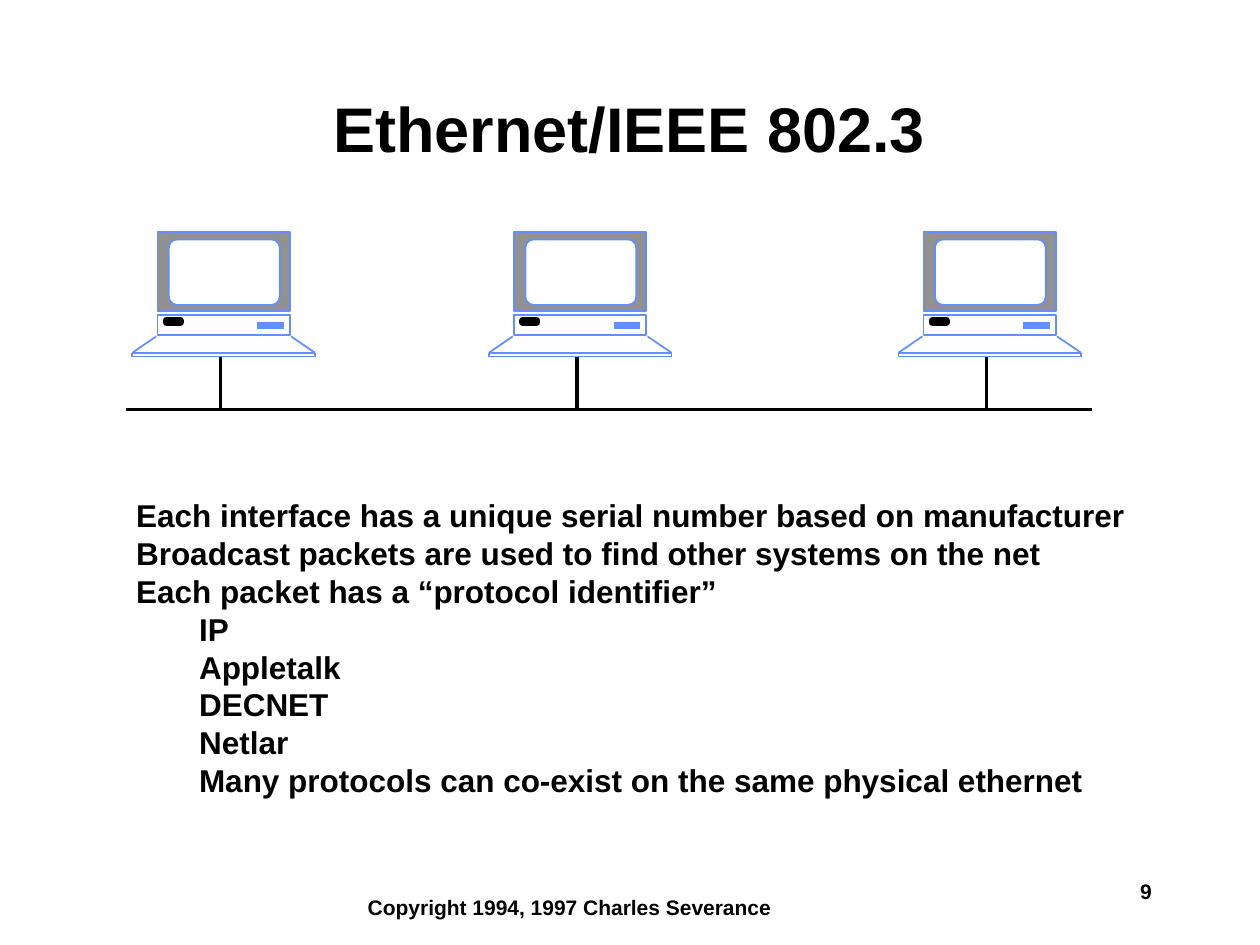
from dataclasses import dataclass

from lxml import etree
from pptx import Presentation
from pptx.dml.color import RGBColor
from pptx.enum.shapes import MSO_CONNECTOR, MSO_SHAPE
from pptx.enum.text import MSO_ANCHOR, MSO_AUTO_SIZE, PP_ALIGN
from pptx.oxml.ns import qn
from pptx.util import Inches, Pt

STRAIGHT = MSO_CONNECTOR.STRAIGHT
RECTANGLE = MSO_SHAPE.RECTANGLE
ROUNDED = MSO_SHAPE.ROUNDED_RECTANGLE
MIDDLE, TOP = MSO_ANCHOR.MIDDLE, MSO_ANCHOR.TOP
NO_AUTOFIT = MSO_AUTO_SIZE.NONE
CENTER, LEFT = PP_ALIGN.CENTER, PP_ALIGN.LEFT


@dataclass(frozen=True)
class Theme:
    font: str = "Arial"
    black: RGBColor = RGBColor(0, 0, 0)
    white: RGBColor = RGBColor(255, 255, 255)
    gray: RGBColor = RGBColor(0x91, 0x91, 0x91)
    blue: RGBColor = RGBColor(0x61, 0x8F, 0xFD)
    title_size: int = 36
    body_size: int = 18
    footer_size: int = 12


THEME = Theme()

POINTS = [
    (0, "Each interface has a unique serial number based on manufacturer"),
    (0, "Broadcast packets are used to find other systems on the net"),
    (0, "Each packet has a “protocol identifier”"),
    (1, "IP"),
    (1, "Appletalk"),
    (1, "DECNET"),
    (1, "Netlar"),
    (1, "Many protocols can co-exist on the same physical ethernet"),
]

COMPUTER_LEFTS = (1.05, 3.88, 7.13)
BASE_WIDTH = 1.45
BASE_TOP, BASE_BOTTOM = 2.8, 2.83
BUS_TOP = 3.25


def place(shape, left, top, width, height):
    shape.left, shape.top = Inches(left), Inches(top)
    shape.width, shape.height = Inches(width), Inches(height)


def format_paragraph(para, size, align=LEFT):
    para.alignment = align
    para.space_before = Pt(0)
    for span in para.runs:
        span.font.name = THEME.font
        span.font.size = Pt(size)
        span.font.bold = True
        span.font.color.rgb = THEME.black


def add_title(page, text):
    title = page.shapes.title
    place(title, 1.08, 0.67, 7.83, 0.75)
    frame = title.text_frame
    frame.text = text
    frame.auto_size = NO_AUTOFIT
    frame.vertical_anchor = MIDDLE
    para = frame.paragraphs[0]
    format_paragraph(para, THEME.title_size, CENTER)
    para.line_spacing = 0.9


def add_points(page, points):
    body = page.placeholders[1]
    place(body, 0.98, 3.89, 8.05, 2.5)
    frame = body.text_frame
    frame.text = "\n".join(text for _, text in points)
    frame.auto_size = NO_AUTOFIT
    frame.word_wrap = False
    frame.vertical_anchor = TOP
    for para, (level, _) in zip(frame.paragraphs, points):
        para.level = level
        format_paragraph(para, THEME.body_size)
        para.line_spacing = Pt(1.2 * THEME.body_size)
        properties = para._p.get_or_add_pPr()
        properties.set("marL", str(Inches(0.5 * level)))
        properties.set("indent", "0")
        etree.SubElement(properties, qn("a:buNone"))


def add_footer(page, text, left, top, width):
    box = page.shapes.add_textbox(
        Inches(left), Inches(top), Inches(width), Inches(0.3))
    box.text_frame.text = text
    box.text_frame.word_wrap = False
    format_paragraph(box.text_frame.paragraphs[0], THEME.footer_size)


def add_line(shapes, start, end, color, width):
    line = shapes.add_connector(
        STRAIGHT, *(Inches(value) for value in (*start, *end)))
    line.line.color.rgb = color
    line.line.width = Pt(width)
    etree.SubElement(line._element.spPr, qn("a:effectLst"))


def add_block(shapes, kind, bounds, fill, color, width=1):
    """Add an outlined shape; a fill of None leaves it hollow."""
    block = shapes.add_shape(kind, *(Inches(value) for value in bounds))
    block.shadow.inherit = False
    if fill is None:
        block.fill.background()
    else:
        block.fill.solid()
        block.fill.fore_color.rgb = fill
    block.line.color.rgb = color
    block.line.width = Pt(width)
    return block


def add_computer(page, left):
    parts = page.shapes.add_group_shape().shapes
    right = left + BASE_WIDTH
    case_left = left + 0.2

    add_block(parts, RECTANGLE, (case_left, 1.84, 1.05, 0.63),
              THEME.gray, THEME.blue)
    screen = add_block(parts, ROUNDED, (left + 0.29, 1.9, 0.88, 0.52),
                       THEME.white, THEME.blue)
    screen.adjustments[0] = 0.125

    keyboard = [
        ((left + 0.19, 2.67), (left, BASE_TOP)),
        ((left, BASE_TOP), (right, BASE_TOP)),
        ((left, BASE_BOTTOM), (right, BASE_BOTTOM)),
        ((left, BASE_TOP), (left, BASE_BOTTOM)),
        ((right - 0.19, 2.67), (right, BASE_TOP)),
        ((right, BASE_TOP), (right, BASE_BOTTOM)),
    ]
    for start, end in keyboard:
        add_line(parts, start, end, THEME.blue, 1)

    add_block(parts, RECTANGLE, (case_left, 2.5, 1.05, 0.16),
              None, THEME.blue)
    add_line(parts, (left + 0.99, 2.58), (left + 1.2, 2.58), THEME.blue, 4)
    add_block(parts, RECTANGLE, (left + 0.27, 2.54, 0.11, 0.02),
              THEME.black, THEME.black, 4)


def add_bus(page):
    """Add the shared cable and one drop to each computer."""
    parts = page.shapes.add_group_shape().shapes
    for left in COMPUTER_LEFTS:
        drop = left + 0.7
        add_line(parts, (drop, BASE_BOTTOM), (drop, BUS_TOP), THEME.black, 2)
    add_line(parts, (1, BUS_TOP), (8.67, BUS_TOP), THEME.black, 2)


def main():
    deck = Presentation()
    deck.slide_width, deck.slide_height = Inches(10), Inches(7.5)
    page = deck.slides.add_slide(deck.slide_layouts[1])
    add_footer(page, "Copyright 1994, 1997 Charles Severance", 2.82, 7.05, 3.41)
    add_footer(page, "9", 8.95, 6.92, 1)
    add_title(page, "Ethernet/IEEE 802.3")
    add_points(page, POINTS)
    for left in COMPUTER_LEFTS:
        add_computer(page, left)
    add_bus(page)
    deck.save("out.pptx")


if __name__ == "__main__":
    main()
